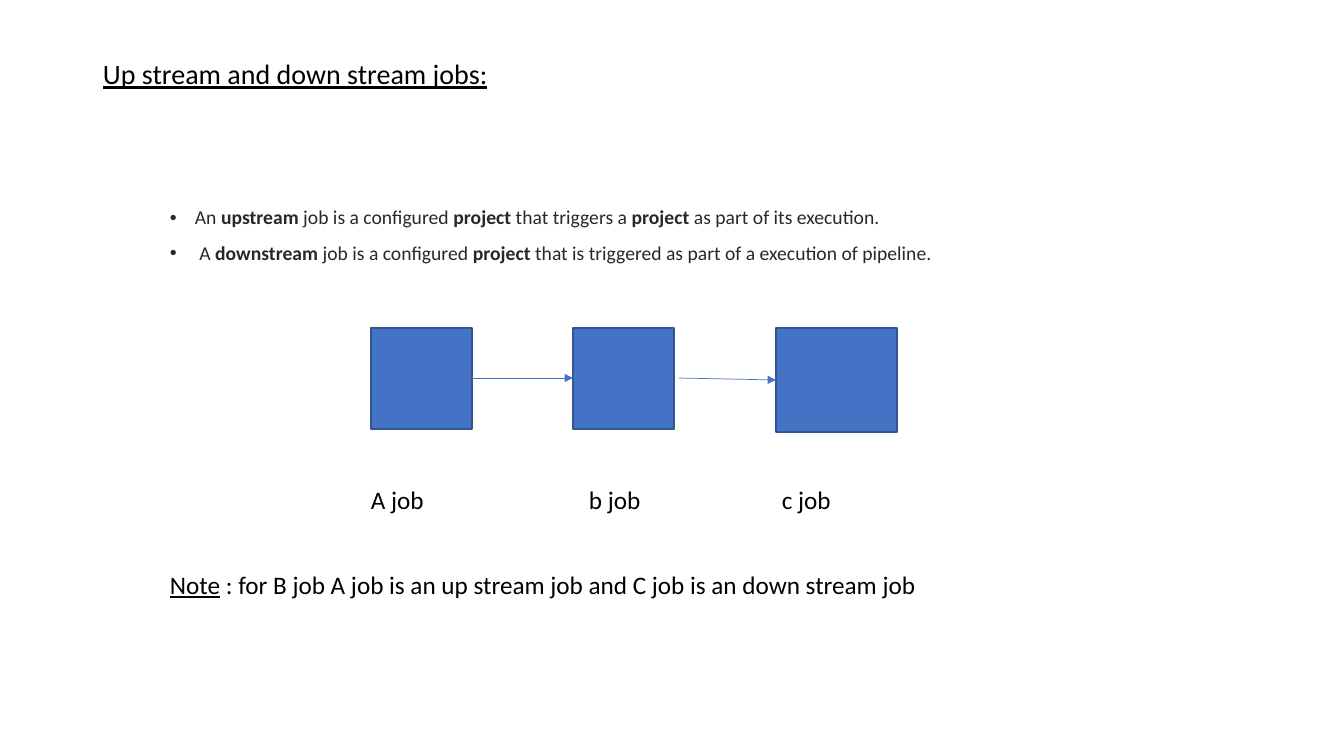
from lxml import etree
from pptx import Presentation
from pptx.dml.color import RGBColor
from pptx.enum import shapes, text
from pptx.oxml import ns
from pptx import util as u

SCALE = 914400 / 100.8
FONT = "Calibri"
BLACK, GREY, BLUE, NAVY = "000000", "282829", "4472C4", "325491"


def px(pixels):
    """Turn pixels into EMU."""
    return u.Emu(round(pixels * SCALE))


def color(value):
    """Turn a hex string into a colour."""
    return RGBColor.from_string(value)


def add_sub(parent, tag, **attributes):
    """Append a DrawingML element."""
    return etree.SubElement(parent, ns.qn(tag), **attributes)


def add_text(page, left, top, width, height, paragraphs, size=18, ink=BLACK,
             mark=None, anchor=text.MSO_ANCHOR.TOP, bullet=False,
             line_spacing=1.0, before=0):
    """Add a text box; each paragraph lists spans, and odd spans get the mark."""
    box = page.shapes.add_textbox(px(left), px(top), px(width), px(height))
    frame = box.text_frame
    frame.word_wrap = True
    frame.vertical_anchor = anchor
    for index, spans in enumerate(paragraphs):
        para = frame.add_paragraph() if index else frame.paragraphs[0]
        para.line_spacing = line_spacing
        para.space_before = u.Pt(before)
        if bullet:
            props = para._p.get_or_add_pPr()
            indent = px(25)
            props.set("marL", str(indent))
            props.set("indent", str(-indent))
            add_sub(props, "a:buFont", typeface="Arial")
            add_sub(props, "a:buChar", char="•")
        for position, words in enumerate(spans):
            if not words:
                continue
            span = para.add_run()
            span.text = words
            span.font.name = FONT
            span.font.size = u.Pt(size)
            span.font.color.rgb = color(ink)
            if mark and position % 2:
                setattr(span.font, mark, True)
    return box


def add_job(page, left, top, width, height):
    """Add the rectangle that stands for a job."""
    job = page.shapes.add_shape(shapes.MSO_SHAPE.RECTANGLE, px(left), px(top),
                                px(width), px(height))
    job.shadow.inherit = False
    job.fill.solid()
    job.fill.fore_color.rgb = color(BLUE)
    job.line.color.rgb = color(NAVY)
    job.line.width = u.Pt(1)


def add_arrow(page, start, end):
    """Add a thin arrow between two points."""
    arrow = page.shapes.add_connector(shapes.MSO_CONNECTOR.STRAIGHT,
                                      *map(px, start + end))
    arrow.line.color.rgb = color(BLUE)
    arrow.line.width = u.Pt(0.5)
    add_sub(arrow.line._get_or_add_ln(), "a:tailEnd", type="triangle")
    add_sub(arrow._element.spPr, "a:effectLst")


def main():
    """Build the slide and save it."""
    deck = Presentation()
    deck.slide_width, deck.slide_height = px(1344), px(756)
    page = deck.slides.add_slide(deck.slide_layouts[6])

    add_text(page, 93, 43, 1115, 65, [["", "Up stream and down stream jobs:"]],
             size=20, mark="underline", anchor=text.MSO_ANCHOR.MIDDLE,
             line_spacing=0.9)
    definitions = [
        ["An ", "upstream", " job is a configured ", "project",
         " that triggers a ", "project", " as part of its execution."],
        [" A ", "downstream", " job is a configured ", "project",
         " that is triggered as part of a execution of pipeline."],
    ]
    add_text(page, 160, 203, 801, 80, definitions, size=14, ink=GREY,
             mark="bold", bullet=True, line_spacing=0.9, before=10)

    jobs = [("A job", 371, 101, 101, 361), ("b job", 573, 101, 101, 579),
            ("c job", 776, 121, 104, 772)]
    for label, left, width, height, label_left in jobs:
        add_job(page, left, 328, width, height)
        add_text(page, label_left, 479, 120, 40, [[label]])
    add_arrow(page, (472, 378), (573, 378))
    add_arrow(page, (679, 378), (776, 380))

    note = ["", "Note",
            " : for B job A job is an up stream job and C job is an down stream job"]
    add_text(page, 160, 564, 801, 40, [note], mark="underline")
    deck.save("out.pptx")


main()
